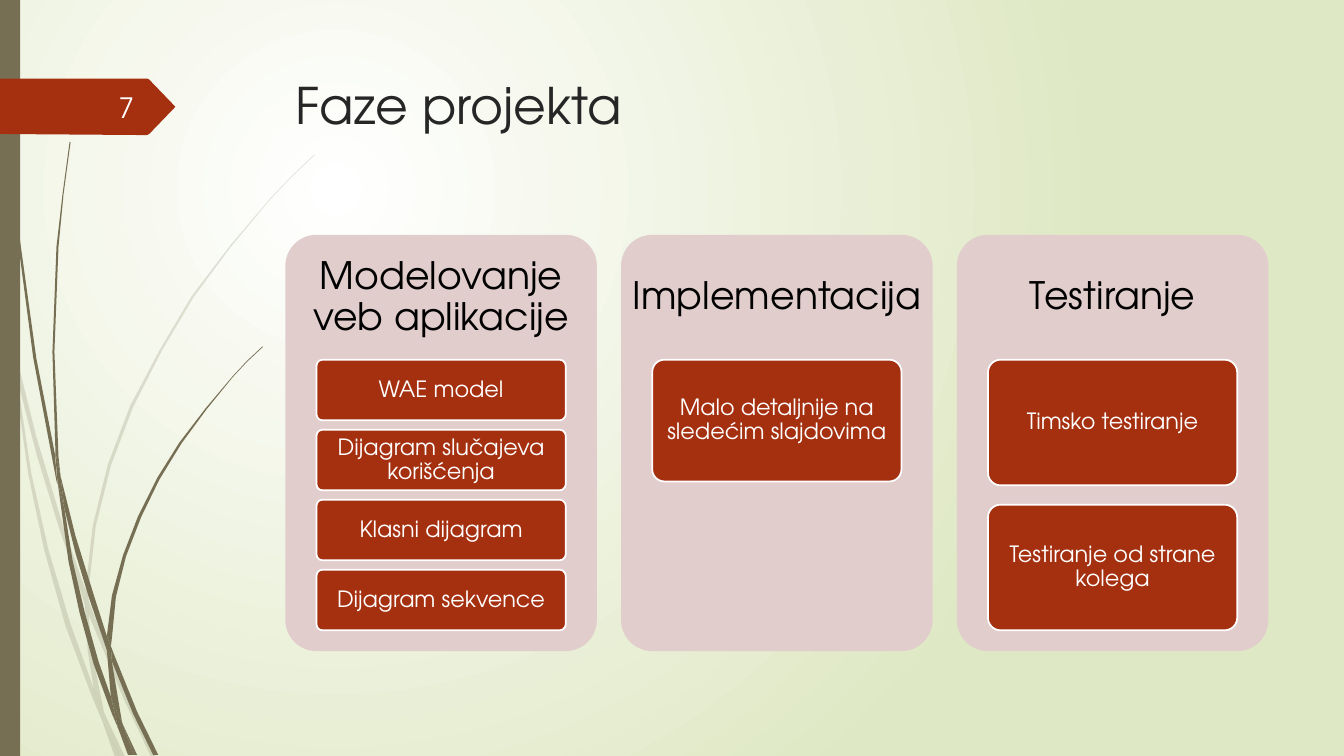
import pptx
import pptx.util
import pptx.dml.color
import pptx.enum.shapes
import pptx.enum.text
import pptx.oxml
import pptx.oxml.ns

WIDE, HIGH = 13.33, 7.5
TITLE, PAGE = "Faze projekta", "7"
PANELS = [
    ("Modelovanje veb aplikacije", 1,
     ["WAE model", "Dijagram slučajeva korišćenja", "Klasni dijagram", "Dijagram sekvence"]),
    ("Implementacija", 0.45, ["Malo detaljnije na sledećim slajdovima"]),
    ("Testiranje", 1, ["Timsko testiranje", "Testiranje od strane kolega"]),
]
PALE = [
    [(0.11, 3.5), (0.09, 3.22), (0, 2.82), (0, 2.99), (0.1, 3.44)],
    [(0.58, 5.22), (0.84, 5.99), (0.85, 5.86), (0.62, 5.2), (0.36, 4.33), (0.14, 3.45),
     (0.17, 3.76), (0.36, 4.5)],
    [(0.92, 6.07), (0.88, 5.96), (0.88, 6.1), (1.23, 6.94), (1.5, 7.51), (1.55, 7.51),
     (1.27, 6.92)],
    [(1.19, 7.51), (1.24, 7.51), (1.05, 7.11)],
    [(0.93, 6.83), (0.7, 6.19), (0.48, 5.45), (0.31, 4.69), (0.17, 3.76), (0.11, 3.5),
     (0.28, 4.7), (0.44, 5.46), (0.65, 6.21), (0.92, 6.93), (1.01, 7.14), (0.99, 7.07)],
    [(0.84, 5.99), (0.87, 6.46), (0.93, 6.83), (0.96, 6.92), (1.05, 7.11), (1.03, 7.06),
     (0.91, 6.46), (0.88, 6.1), (0.88, 6.08)],
    [(0.88, 5.84), (0.95, 5.22), (1.1, 4.62), (1.32, 4.04), (1.6, 3.49), (1.92, 2.95),
     (2.29, 2.45), (2.68, 1.98), (2.9, 1.75), (3.12, 1.54), (3.12, 1.53), (2.89, 1.75),
     (2.68, 1.97), (2.28, 2.44), (1.9, 2.94), (1.58, 3.48), (1.29, 4.03), (1.07, 4.61),
     (0.92, 5.22), (0.85, 5.84), (0.85, 5.86), (0.88, 5.96)],
    [(1.01, 7.14), (1.14, 7.51), (1.19, 7.51)],
    [(0.88, 6.08), (0.88, 6.1), (0.88, 5.96), (0.85, 5.86), (0.84, 5.99)],
    [(0.96, 6.92), (0.93, 6.83), (0.99, 7.07), (1.01, 7.14), (1.19, 7.51), (1.05, 7.11)],
]
DARK = [
    [(0.07, 1.1), (0.17, 2.33), (0.33, 3.55), (0.56, 4.77), (0.57, 4.81), (0.55, 4.57),
     (0.55, 4.53), (0.36, 3.55), (0.19, 2.32), (0.08, 1.09), (0.05, 0.48), (0.04, 0),
     (0.03, 0), (0.04, 0.48)],
    [(0.88, 5.92), (1.06, 6.45), (1.06, 6.33), (1.06, 6.31), (0.93, 5.9), (0.75, 5.32),
     (0.6, 4.72), (0.64, 5.05), (0.75, 5.49)],
    [(1.13, 6.49), (1.1, 6.41), (1.11, 6.56), (1.32, 7.08), (1.52, 7.49), (1.57, 7.49),
     (1.36, 7.06)],
    [(1.1, 6.91), (0.98, 6.57), (0.84, 6.07), (0.72, 5.56), (0.64, 5.05), (0.57, 4.77),
     (0.68, 5.57), (0.79, 6.08), (0.93, 6.59), (1.11, 7.08), (1.17, 7.22), (1.16, 7.17)],
    [(0.6, 4.72), (0.58, 4.53), (0.54, 3.49), (0.58, 2.45), (0.63, 1.93), (0.7, 1.41),
     (0.69, 1.41), (0.62, 1.93), (0.56, 2.45), (0.52, 3.49), (0.55, 4.49)],
    [(1.33, 7.49), (1.36, 7.49), (1.22, 7.19)],
    [(0.57, 4.77), (0.64, 5.05), (0.6, 4.72), (0.55, 4.49), (0.55, 4.53)],
    [(1.11, 6.33), (1.15, 5.92), (1.25, 5.52), (1.4, 5.13), (1.58, 4.76), (1.8, 4.4),
     (2.05, 4.06), (2.31, 3.74), (2.45, 3.59), (2.61, 3.44), (2.6, 3.44), (2.45, 3.58),
     (2.31, 3.73), (2.04, 4.05), (1.78, 4.39), (1.56, 4.74), (1.37, 5.12), (1.22, 5.51),
     (1.11, 5.91), (1.06, 6.31), (1.1, 6.41)],
    [(1.17, 7.22), (1.27, 7.49), (1.31, 7.49)],
    [(1.06, 6.45), (1.1, 6.91), (1.16, 7.06), (1.22, 7.19), (1.21, 7.16), (1.11, 6.56),
     (1.09, 6.51)],
    [(1.06, 6.45), (1.09, 6.51), (1.11, 6.56), (1.1, 6.41), (1.06, 6.31), (1.06, 6.33)],
    [(1.16, 7.06), (1.1, 6.91), (1.16, 7.17), (1.17, 7.22), (1.3, 7.49), (1.33, 7.49),
     (1.22, 7.19)],
]
TAG = [(1.74, 1.06), (1.48, 1.33), (1.46, 1.34), (1.36, 1.34), (0, 1.33), (0, 0.78),
       (1.36, 0.78), (1.46, 0.78), (1.48, 0.79)]
THEME = {
    "font": "TeX Gyre Adventor",
    "olive": "766F54", "rust": "A53010", "rose": "E1CDCC", "white": "FFFFFF",
    "lime": "DFE8C4", "ink": "262626", "black": "000000", "snow": "FEFFFF",
    "title": 36, "head": 27, "card": 16, "page": 20,
}
KIND = pptx.enum.shapes.MSO_SHAPE
SIDE = pptx.enum.text.PP_ALIGN
HOLD = pptx.enum.text.MSO_ANCHOR

deck = pptx.Presentation()
deck.slide_width = pptx.util.Inches(WIDE)
deck.slide_height = pptx.util.Inches(HIGH)
slide = deck.slides.add_slide(deck.slide_layouts[6])
shapes = slide.shapes


def hue(name):
    return pptx.dml.color.RGBColor.from_string(THEME[name])


def paint(item, fill, line=None):
    item.shadow.inherit = False
    item.fill.solid()
    item.fill.fore_color.rgb = hue(fill)
    if line:
        item.line.color.rgb = hue(line)
        item.line.width = pptx.util.Pt(1.25)
    else:
        item.line.fill.background()
    return item


def block(kind, area, fill, line=None, adj=None):
    item = paint(shapes.add_shape(kind, *map(pptx.util.Inches, area)), fill, line)
    if adj is not None:
        item.adjustments[0] = adj
    return item


def label(area):
    return shapes.add_textbox(*map(pptx.util.Inches, area))


def put(item, text, size, color, align=SIDE.CENTER, anchor=HOLD.MIDDLE, pad=0.1, lead=None):
    frame = item.text_frame
    frame.word_wrap = True
    frame.vertical_anchor = anchor
    frame.margin_left = frame.margin_right = pptx.util.Inches(pad)
    frame.margin_top = frame.margin_bottom = pptx.util.Inches(0.05)
    para = frame.paragraphs[0]
    para.alignment = align
    para.line_spacing = lead
    run = para.add_run()
    run.text = text
    run.font.name = THEME["font"]
    run.font.size = pptx.util.Pt(THEME[size])
    run.font.color.rgb = hue(color)


def outline(knots, fill, alpha=None):
    dots = [(100 * x, 100 * y) for x, y in knots]
    form = shapes.build_freeform(*dots[0], scale=9144)
    form.add_line_segments(dots[1:], close=True)
    item = paint(form.convert_to_shape(), fill)
    if alpha:
        tone = item.fill._xPr.find(".//" + pptx.oxml.ns.qn("a:srgbClr"))
        tone.append(pptx.oxml.parse_xml(
            f'<a:alpha {pptx.oxml.ns.nsdecls("a")} val="{alpha * 1000}"/>'))


def backdrop():
    fill = slide.background.fill
    fill.gradient()
    for stop, name, place in zip(fill.gradient_stops, ("white", "lime"), (0, 1)):
        stop.color.rgb = hue(name)
        stop.position = place
    grad = slide.element.find(".//" + pptx.oxml.ns.qn("a:gradFill"))
    grad.replace(grad.find(pptx.oxml.ns.qn("a:lin")), pptx.oxml.parse_xml(
        f'<a:path {pptx.oxml.ns.nsdecls("a")} path="circle">'
        '<a:fillToRect l="50000" t="50000" r="100000" b="100000"/></a:path>'))


def panel(col, head, share, cards):
    pitch, wide, high, top = 3.33, 3.09, 4.13, 2.33
    left = 2.83 + col * pitch
    block(KIND.ROUNDED_RECTANGLE, (left, top, wide, high), "rose", adj=0.1)
    put(label((left, top, wide, 0.3 * high)), head, "head", "black", pad=0.06, lead=0.9)
    count, gap = len(cards), 0.154
    tall = 0.65 * high * share / (count + gap * (count - 1))
    for row, text in enumerate(cards):
        y = top + 0.3 * high + row * tall * (1 + gap)
        card = block(KIND.ROUNDED_RECTANGLE, (left + 0.1 * wide, y, 0.8 * wide, tall),
                     "rust", "white", 0.1)
        put(card, text, "card", "white", pad=0.05, lead=0.9)


def main():
    backdrop()
    for wisp in PALE:
        outline(wisp, "olive", alpha=20)
    for wisp in DARK:
        outline(wisp, "olive")
    block(KIND.RECTANGLE, (0, 0, 0.2, HIGH), "olive")
    outline(TAG, "rust")
    put(label((2.83, 0.69, 9.75, 1.4)), TITLE, "title", "ink", align=SIDE.LEFT, anchor=HOLD.TOP)
    for col, part in enumerate(PANELS):
        panel(col, *part)
    put(label((0.58, 0.86, 0.85, 0.4)), PAGE, "page", "snow", align=SIDE.RIGHT)
    deck.save("out.pptx")


if __name__ == "__main__":
    main()
